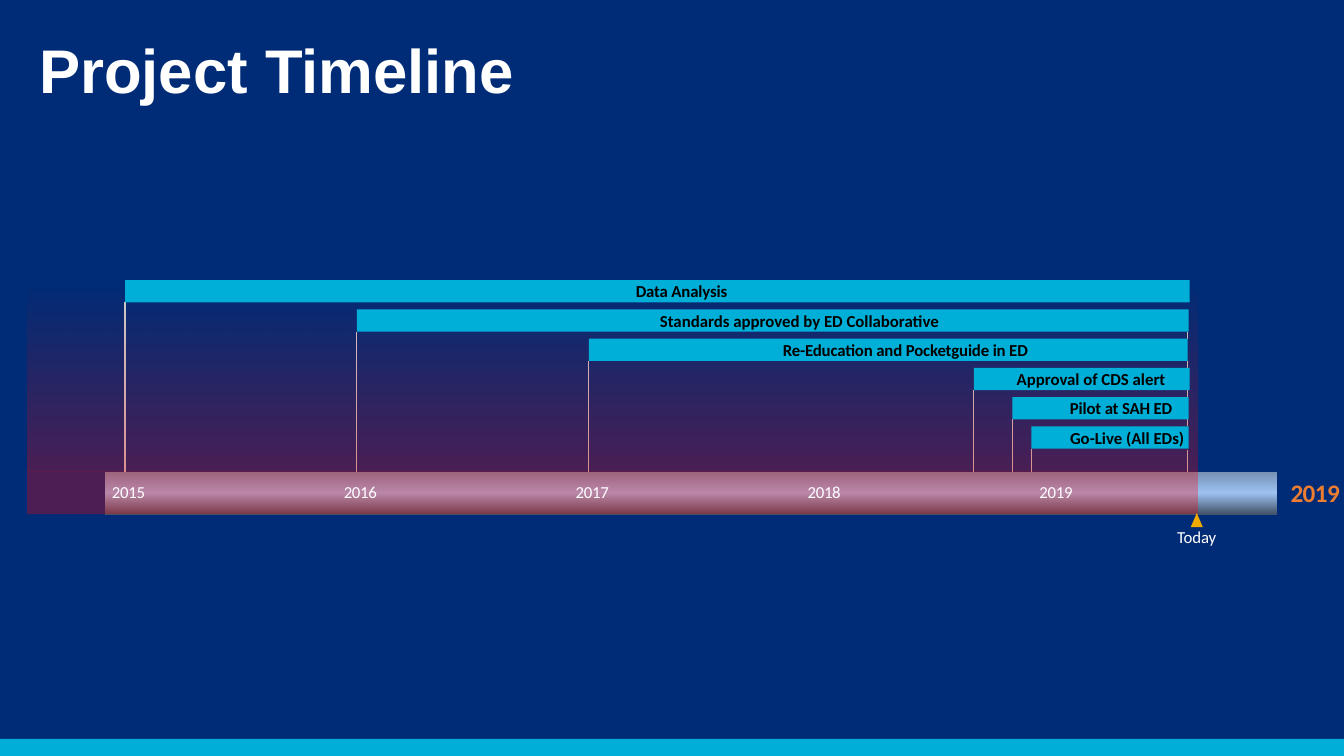
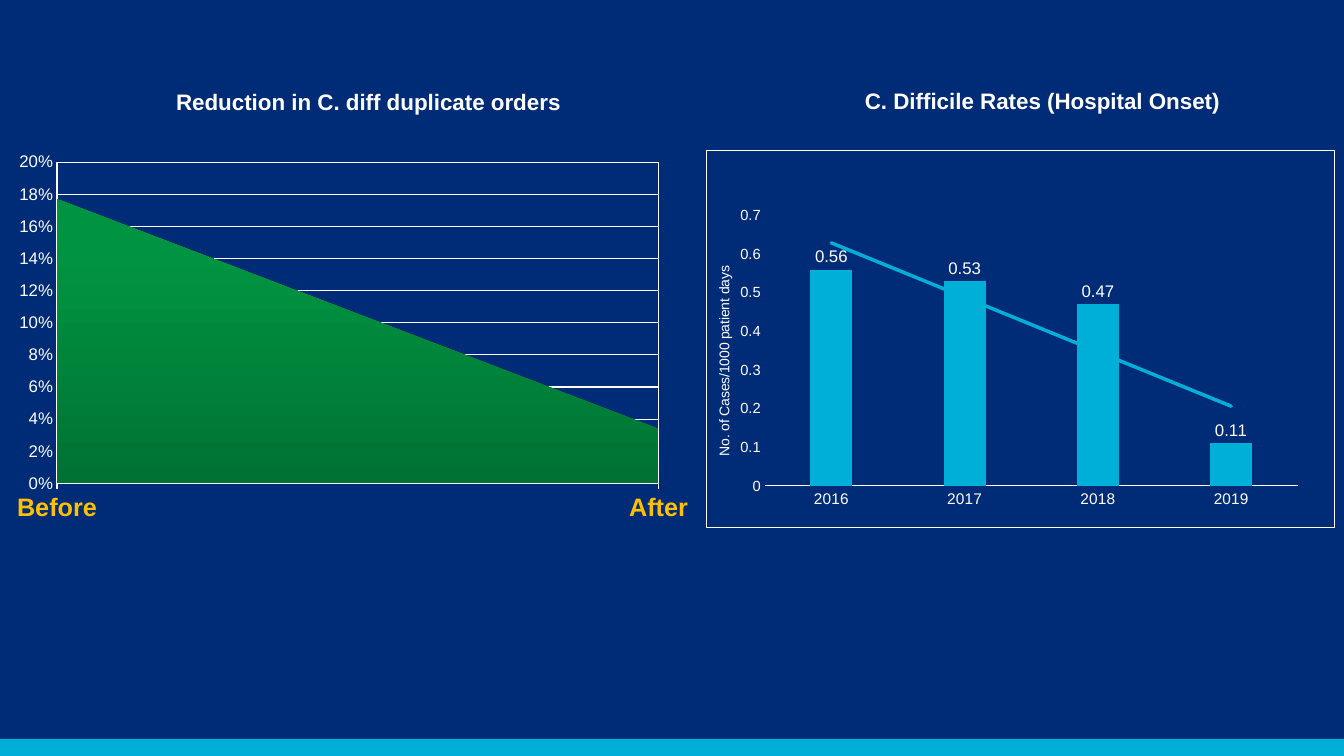
"""Build two slides: a project timeline and the results of the project."""
from dataclasses import dataclass
from typing import Any, NamedTuple

from pptx import Presentation
from pptx.chart import data as cd
from pptx.dml.color import RGBColor
from pptx.enum import chart as ch, shapes as sh, text as tx
from pptx.oxml import parse_xml
from pptx.oxml.ns import nsdecls, qn
from pptx.util import Inches, Pt


@dataclass(frozen=True)
class Theme:
    navy: str = "002C77"
    band: str = "00AED7"
    cyan: str = "00AFD8"
    white: str = "FFFFFF"
    black: str = "000000"
    grey: str = "CCCCCC"
    red: str = "FF0000"
    orange: str = "ED7D31"
    amber: str = "F0AB00"
    gold: str = "FFC000"
    sans: str = "Arial"
    body: str = "Calibri"
    title: float = 44
    large: float = 18
    head: float = 16
    label: float = 12
    tick: float = 11
    scale: float = 10.5
    small: float = 10


T = Theme()


@dataclass(frozen=True)
class Style:
    size: float
    color: str = T.white
    face: str = T.sans
    bold: bool = False
    gap: float = 0


class Box(NamedTuple):
    left: float
    top: float
    width: float
    height: float

    def sized(self) -> list[int]:
        return [Inches(side) for side in self]


class Stop(NamedTuple):
    place: int
    color: str
    alpha: int = 100


class Task(NamedTuple):
    name: str
    left: float
    right: float
    mid: float
    width: float
    gap: float = 0


TASKS = [
    Task("Data Analysis", 1.24, 11.8, 6.76, 1.34, -0.1),
    Task("Standards approved by ED Collaborative", 3.54, 11.79, 7.93, 3.09),
    Task("Re-Education and Pocketguide in ED", 5.84, 11.78, 8.98, 2.63, -0.1),
    Task("Approval of CDS alert ", 9.66, 11.8, 10.84, 1.65),
    Task("Pilot at SAH ED", 10.04, 11.79, 11.12, 1.37, -0.1),
    Task("Go-Live (All EDs)", 10.23, 11.79, 11.18, 1.39),
]
YEARS = ["2015", "2016", "2017", "2018", "2019"]
TOP, PITCH, THICK = 2.78, 0.29, 0.22
AXIS, DEPTH = 4.68, 0.42
START, NOW = 0.27, 11.88
FINISH = 11.78

HEAD = Style(T.head, bold=True)
YEAR = Style(T.label, face=T.body, gap=-0.2)
TODAY = Style(T.label, face=T.body, gap=-0.1)
FINAL = Style(T.large, T.orange, T.body, True, -0.4)


def rgb(color: str) -> RGBColor:
    """Turn a hex code into a colour."""
    return RGBColor.from_string(color)


def ink(font: Any, style: Style) -> None:
    """Give a font its face, size, weight and colour."""
    font.name, font.size, font.bold = style.face, Pt(style.size), style.bold
    font.color.rgb = rgb(style.color)


def write(frame: Any, words: str, style: Style, align: Any) -> None:
    """Write one run in the first paragraph of a frame."""
    para = frame.paragraphs[0]
    para.alignment = align
    run = para.add_run()
    run.text = words
    ink(run.font, style)
    if style.gap:
        run._r.get_or_add_rPr().set("spc", str(round(style.gap * 100)))


def label(slide: Any, box: Box, words: str, style: Style,
          align: Any = tx.PP_ALIGN.CENTER, wrap: bool = False) -> None:
    """Add a text box without margins, centred in height."""
    frame = slide.shapes.add_textbox(*box.sized()).text_frame
    frame.margin_left = frame.margin_right = 0
    frame.margin_top = frame.margin_bottom = 0
    frame.word_wrap = wrap
    frame.vertical_anchor = tx.MSO_ANCHOR.MIDDLE
    write(frame, words, style, align)


def block(slide: Any, box: Box, color: str,
          kind: Any = sh.MSO_SHAPE.RECTANGLE) -> Any:
    """Add a plain filled shape."""
    shape = slide.shapes.add_shape(kind, *box.sized())
    shape.shadow.inherit = False
    shape.fill.solid()
    shape.fill.fore_color.rgb = rgb(color)
    shape.line.fill.background()
    return shape


def rule(slide: Any, x: float, top: float, base: float) -> None:
    """Draw a thin upright line."""
    line = slide.shapes.add_connector(
        sh.MSO_CONNECTOR.STRAIGHT, Inches(x), Inches(top), Inches(x), Inches(base))
    line.line.color.rgb = rgb(T.grey)
    line.line.width = Pt(0.75)
    line.element.spPr.append(parse_xml(f"<a:effectLst {nsdecls('a')}/>"))


def blend(props: Any, stops: list[Stop], angle: int) -> None:
    """Replace a solid fill by a linear gradient."""
    marks = "".join(
        f'<a:gs pos="{s.place * 1000}"><a:srgbClr val="{s.color}">'
        f'<a:alpha val="{s.alpha * 1000}"/></a:srgbClr></a:gs>' for s in stops)
    fill = parse_xml(
        f'<a:gradFill {nsdecls("a")} rotWithShape="1"><a:gsLst>{marks}</a:gsLst>'
        f'<a:lin ang="{angle * 60000}" scaled="0"/></a:gradFill>')
    props.replace(props.find(qn("a:solidFill")), fill)


def fade(shape: Any, alpha: int) -> None:
    """Make a solid fill see-through."""
    color = shape.element.spPr.find(qn("a:solidFill"))[0]
    color.append(parse_xml(f'<a:alpha {nsdecls("a")} val="{alpha * 1000}"/>'))


def layout(spot: dict[str, float], inner: bool = False) -> Any:
    """Make a manual chart layout from shares of the chart."""
    target = '<c:layoutTarget val="inner"/>' if inner else ""
    modes = '<c:xMode val="edge"/><c:yMode val="edge"/>'
    sides = "".join(f'<c:{key} val="{val}"/>' for key, val in spot.items())
    return parse_xml(f"<c:layout {nsdecls('c')}><c:manualLayout>{target}{modes}"
                     f"{sides}</c:manualLayout></c:layout>")


def frame_line(width: float) -> Any:
    """Make chart properties with a white outline and no fill."""
    return parse_xml(
        f'<c:spPr {nsdecls("c", "a")}><a:noFill/><a:ln w="{Pt(width)}"><a:solidFill>'
        f'<a:srgbClr val="{T.white}"/></a:solidFill></a:ln></c:spPr>')


def graph(slide: Any, kind: Any, box: Box, cats: list[str], vals: list[float],
          plot: Box, cat: Style, val: Style) -> Any:
    """Add a one-series chart with styled axes."""
    data = cd.CategoryChartData()
    data.categories = cats
    data.add_series("Series 1", vals)
    chart = slide.shapes.add_chart(kind, *box.sized(), data).chart
    chart.has_legend = chart.has_title = False
    ink(chart.font, Style(T.small))
    area = chart.element.chart.plotArea
    for old in area.findall(qn("c:layout")):
        area.remove(old)
    area.insert(0, layout(dict(zip("xywh", plot)), True))
    for axis, style in ((chart.category_axis, cat), (chart.value_axis, val)):
        ink(axis.tick_labels.font, style)
        axis.major_tick_mark = axis.minor_tick_mark = ch.XL_TICK_MARK.NONE
        axis.has_major_gridlines = False
    chart.category_axis.format.line.color.rgb = rgb(T.white)
    chart.category_axis.format.line.width = Pt(0.75)
    chart.value_axis.format.line.fill.background()
    chart.value_axis.minimum_scale = 0
    fill = chart.plots[0].series[0].format.fill
    fill.solid()
    fill.fore_color.rgb = rgb(T.cyan)
    return chart


def orders(slide: Any) -> None:
    """Draw the area chart of duplicate orders."""
    chart = graph(slide, ch.XL_CHART_TYPE.AREA_STACKED, Box(-0.08, 1.46, 7.25, 4.04),
                  ["Before", "After"], [0.177, 0.034], Box(0.089, 0.037, 0.823, 0.789),
                  Style(T.large, T.gold, bold=True), Style(T.label))
    chart.category_axis.major_tick_mark = ch.XL_TICK_MARK.OUTSIDE
    chart.category_axis.format.line.width = Pt(1)
    axis = chart.value_axis
    axis.maximum_scale, axis.major_unit = 0.2, 0.02
    axis.tick_labels.number_format = "0%"
    axis.tick_labels.number_format_is_linked = False
    axis.has_major_gridlines = True
    axis.major_gridlines.format.line.color.rgb = rgb(T.white)
    axis.major_gridlines.format.line.width = Pt(0.75)
    area = chart.element.chart.plotArea
    area.find(".//" + qn("c:crossBetween")).set("val", "midCat")
    area.append(frame_line(0.75))
    props = chart.plots[0].series[0]._element.find(qn("c:spPr"))
    blend(props, [Stop(0, "007233"), Stop(80, "009442"), Stop(100, "009542")], 270)


def rates(slide: Any) -> None:
    """Draw the column chart of rates with its trend line."""
    chart = graph(slide, ch.XL_CHART_TYPE.COLUMN_CLUSTERED, Box(7, 1.49, 6.24, 3.75),
                  YEARS[1:], [0.56, 0.53, 0.47, 0.11], Box(0.093, 0.172, 0.849, 0.717),
                  Style(T.tick), Style(T.scale))
    axis = chart.value_axis
    axis.maximum_scale, axis.major_unit = 0.7, 0.1
    words = axis.axis_title.text_frame
    write(words, "No. of Cases/1000 patient days", Style(T.small), None)
    words._txBody.bodyPr.set("rot", "-5400000")
    words._txBody.bodyPr.set("vert", "horz")
    title = axis.axis_title._element
    for old in title.findall(qn("c:layout")):
        title.remove(old)
    title.find(qn("c:tx")).addnext(layout({"x": 0.01, "y": 0.3}))
    plot = chart.plots[0]
    plot.gap_width, plot.overlap, plot.vary_by_categories = 219, -27, False
    tags = plot.series[0].data_labels
    tags.show_value = True
    tags.position = ch.XL_LABEL_POSITION.OUTSIDE_END
    ink(tags.font, Style(T.label))
    trend = parse_xml(
        f'<c:trendline {nsdecls("c", "a")}><c:spPr><a:ln w="{Pt(2.5)}" cap="rnd">'
        f'<a:solidFill><a:srgbClr val="{T.cyan}"/></a:solidFill></a:ln></c:spPr>'
        '<c:trendlineType val="linear"/><c:dispRSqr val="0"/><c:dispEq val="0"/>'
        '</c:trendline>')
    plot.series[0]._element.find(qn("c:cat")).addprevious(trend)
    chart.element.chart.addnext(frame_line(0.75))


def timeline(slide: Any) -> None:
    """Fill the timeline slide."""
    title = slide.shapes.title
    title.left, title.top, title.width, title.height = Box(0.29, 0.35, 11.5, 1.45).sized()
    frame = title.text_frame
    frame.word_wrap = True
    frame.auto_size = tx.MSO_AUTO_SIZE.NONE
    frame.vertical_anchor = tx.MSO_ANCHOR.TOP
    write(frame, "Project Timeline", Style(T.title, bold=True), tx.PP_ALIGN.LEFT)
    frame.paragraphs[0].line_spacing = 0.9

    for row, task in enumerate(TASKS):
        rule(slide, task.left, TOP + row * PITCH + THICK, AXIS)
    for top, base in ((3.29, 3.36), (3.58, 4.23), (4.46, AXIS)):
        rule(slide, FINISH, top, base)
    glow = block(slide, Box(START, TOP, NOW - START, AXIS - TOP), T.red)
    blend(glow.element.spPr, [Stop(0, T.red, 0), Stop(100, T.red, 30)], 90)
    label(slide, Box(12.8, 4.73, 0.49, 0.31), YEARS[-1], FINAL)
    bar = block(slide, Box(1.04, AXIS, 11.63, DEPTH), T.white)
    blend(bar.element.spPr,
          [Stop(0, "748FB2"), Stop(50, "9DC2F2"), Stop(100, "44546A")], 90)
    fade(block(slide, Box(START, AXIS, NOW - START, DEPTH), T.red), 30)
    block(slide, Box(11.81, 5.09, 0.12, 0.14), T.amber, sh.MSO_SHAPE.ISOSCELES_TRIANGLE)
    label(slide, Box(11.67, 5.23, 0.4, 0.2), "Today", TODAY)
    for step, year in enumerate(YEARS):
        label(slide, Box(1.11 + 2.3 * step, 4.78, 0.33, 0.2), year, YEAR, tx.PP_ALIGN.LEFT)
    for row, task in enumerate(TASKS):
        top = TOP + row * PITCH
        block(slide, Box(task.left, top, task.right - task.left, THICK), T.cyan)
        label(slide, Box(task.mid - task.width / 2, top + 0.01, task.width, 0.2), task.name,
              Style(T.label, T.black, T.body, True, task.gap), wrap=True)


def results(slide: Any) -> None:
    """Fill the results slide."""
    for box, words in ((Box(0.14, 0.83, 7.03, 0.95), "Reduction in C. diff duplicate orders"),
                       (Box(7.81, 0.82, 5.06, 0.64), "C. Difficile Rates (Hospital Onset)")):
        frame = slide.shapes.add_textbox(*box.sized()).text_frame
        frame.word_wrap = True
        write(frame, words, HEAD, tx.PP_ALIGN.CENTER)
    orders(slide)
    rates(slide)


def dress(deck: Any, slide: Any) -> None:
    """Put the background and the bottom band on the master."""
    master = deck.slide_master
    master.background.fill.solid()
    master.background.fill.fore_color.rgb = rgb(T.navy)
    band = block(slide, Box(0, 7.33, 13.33, 0.17), T.band)
    band.width = deck.slide_width
    band.element.nvSpPr.cNvPr.set("id", "99")
    master.shapes.element.insert(2, band.element)


def main() -> None:
    """Build and save the deck."""
    deck = Presentation()
    deck.slide_width, deck.slide_height = Inches(13.33), Inches(7.5)
    first = deck.slides.add_slide(deck.slide_layouts[5])
    dress(deck, first)
    timeline(first)
    results(deck.slides.add_slide(deck.slide_layouts[6]))
    deck.save("out.pptx")


if __name__ == "__main__":
    main()
